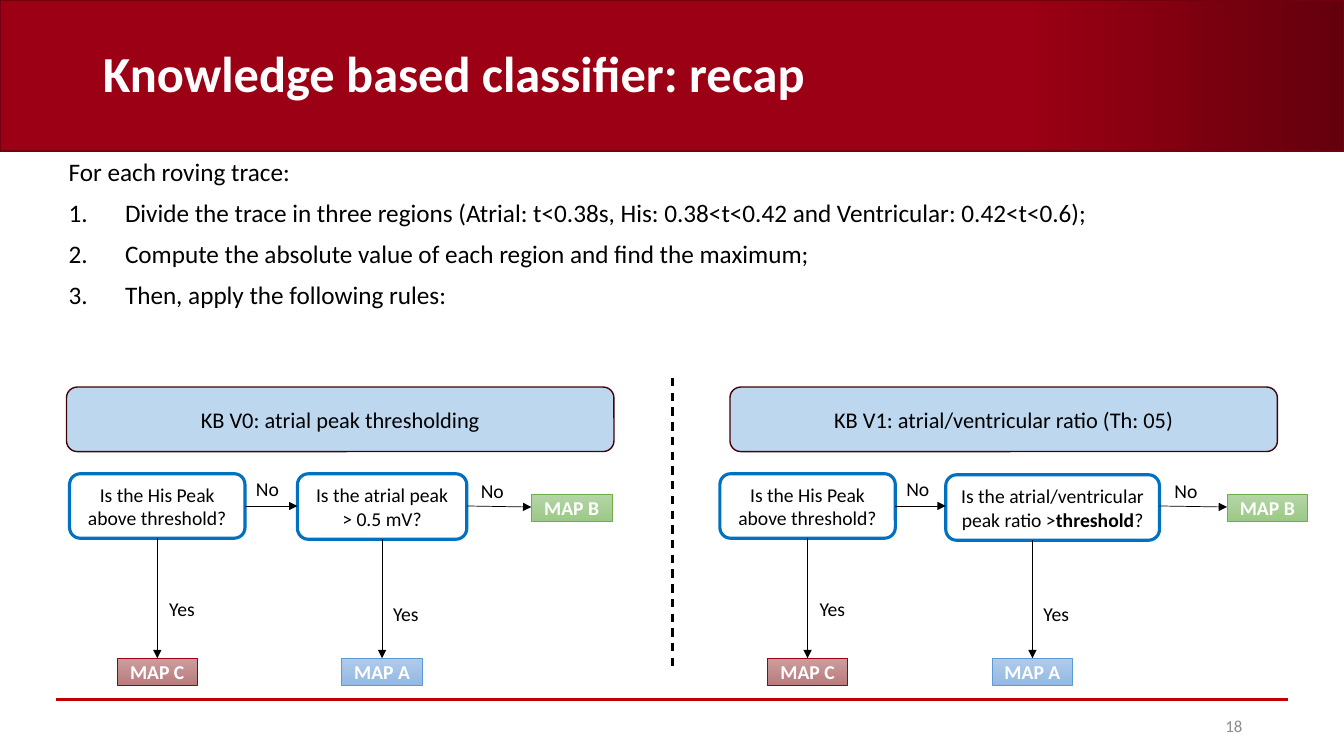
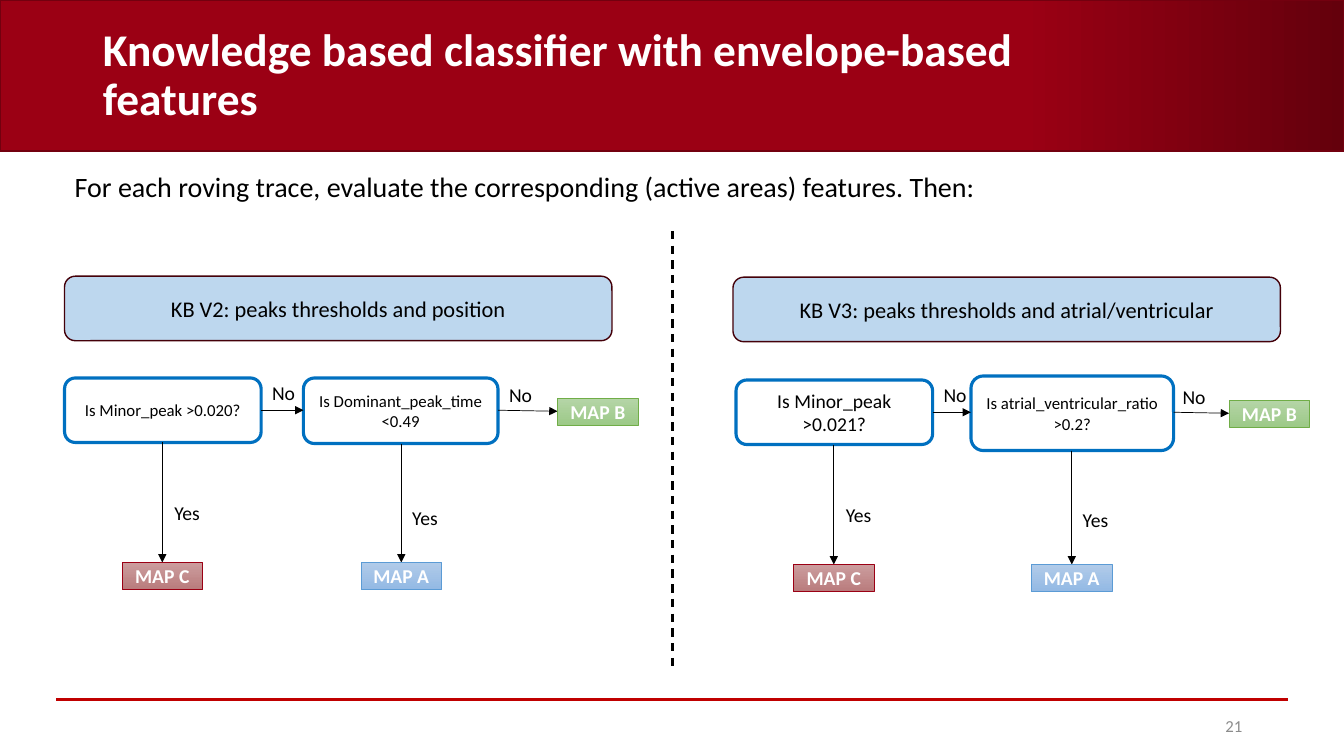
from lxml import etree
from pptx import Presentation
from pptx.dml.color import RGBColor
from pptx.enum.dml import MSO_LINE
from pptx.enum.shapes import MSO_CONNECTOR, MSO_SHAPE
from pptx.enum.text import MSO_ANCHOR, MSO_AUTO_SIZE, PP_ALIGN
from pptx.oxml.ns import qn
from pptx.util import Pt

PX = 9144
FONT = "Calibri"
RECTANGLE = MSO_SHAPE.RECTANGLE
ROUNDED = MSO_SHAPE.ROUNDED_RECTANGLE
STRAIGHT = MSO_CONNECTOR.STRAIGHT
DASH = MSO_LINE.DASH
LEFT, CENTER, RIGHT = PP_ALIGN.LEFT, PP_ALIGN.CENTER, PP_ALIGN.RIGHT
TOP, MIDDLE = MSO_ANCHOR.TOP, MSO_ANCHOR.MIDDLE
NO_FIT = MSO_AUTO_SIZE.NONE
hex_color = RGBColor.from_string

BLACK, WHITE, GREY = "000000", "FFFFFF", "8C8C8C"
BAND_STOPS, BAND_LINE, RULE_RED = ("9B0014", "64000C"), "73000F", "C00000"
HEADING_FILL, HEADING_LINE, QUESTION_LINE = "BDD7EE", "440009", "0070C0"
MAP_STYLES = {
    "MAP A": (("B1CBE9", "93B9E4"), "5B9BD5"),
    "MAP B": (("B5D5A7", "9CC987"), "70AD47"),
    "MAP C": (("CC9D9E", "B97C7D"), "9B0014"),
}
MAP_WIDTH, MAP_HEIGHT = 80, 27
QUESTION_HEIGHT = 64

SLIDES = [
    {
        "title": "Knowledge based classifier: recap", "title_size": 36, "number": "18",
        "body_at": (58, 153, 1150, 165), "body_size": 18,
        "intro": "For each roving trace:",
        "steps": [
            "Divide the trace in three regions (Atrial: t<0.38s, His: 0.38<t<0.42 and Ventricular: 0.42<t<0.6);",
            "Compute the absolute value of each region and find the maximum;",
            "Then, apply the following rules:",
        ],
        "divider_top": 375,
        "charts": [
            {"heading": "KB V0: atrial peak thresholding", "heading_at": (66, 384), "top": 470,
             "first": (69, 174, "Is the His Peak above threshold?", 14),
             "second": (295, 470, 168, 65, "Is the atrial peak > 0.5 mV?", 14),
             "second_arrow": 379, "map_b": 527},
            {"heading": "KB V1: atrial/ventricular ratio (Th: 05)", "heading_at": (724, 384), "top": 470,
             "first": (714, 174, "Is the His Peak above threshold?", 14),
             "second": (938, 471, 212, 65, "Is the atrial/ventricular peak ratio >|threshold|?", 14),
             "second_arrow": 1024, "map_b": 1217},
        ],
    },
    {
        "title": "Knowledge based classifier with envelope-based features", "title_size": 32.4, "number": "21",
        "body_at": (64, 167, 1150, 42), "body_size": 20,
        "intro": "For each roving trace, evaluate the corresponding (active areas) features. Then:",
        "steps": [],
        "divider_top": 229,
        "charts": [
            {"heading": "KB V2: peaks thresholds and position", "heading_at": (64, 274), "top": 375,
             "first": (64, 195, "Is Minor_peak >0.020?", 12),
             "second": (301, 375, 193, 65, "Is Dominant_peak_time <0.49", 12),
             "second_arrow": 398, "map_b": 553},
            {"heading": "KB V3: peaks thresholds and atrial/ventricular", "heading_at": (727, 275), "top": 377,
             "first": (730, 195, "Is Minor_peak >0.021?", 14),
             "second": (963, 373, 201, 74, "Is atrial_ventricular_ratio >0.2?", 12),
             "second_arrow": 1063, "map_b": 1219},
        ],
    },
]


def add_box(slide, at, text="", size=14, color=BLACK, bold=False, align=CENTER, anchor=MIDDLE,
            kind=None, fill=None, outline=None, width=1, angle=270):
    bounds = [length * PX for length in at]
    if kind is None:
        shape = slide.shapes.add_textbox(*bounds)
    else:
        shape = slide.shapes.add_shape(kind, *bounds)
        shape.shadow.inherit = False
        shape.line.color.rgb = hex_color(outline)
        shape.line.width = Pt(width)
    if fill is None:
        shape.fill.background()
    elif isinstance(fill, tuple):
        shape.fill.gradient()
        shape.fill.gradient_angle = angle
        for stop, stop_color in zip(shape.fill.gradient_stops, fill):
            stop.color.rgb = hex_color(stop_color)
    else:
        shape.fill.solid()
        shape.fill.fore_color.rgb = hex_color(fill)
    frame = shape.text_frame
    frame.word_wrap = True
    frame.vertical_anchor = anchor
    paragraph = frame.paragraphs[0]
    paragraph.alignment = align
    for index, piece in enumerate(text.split("|")):
        run = paragraph.add_run()
        run.text = piece
        run.font.name = FONT
        run.font.size = Pt(size)
        run.font.bold = bold or index % 2 == 1
        run.font.color.rgb = hex_color(color)
    return shape


def add_line(slide, start, end, color=BLACK, width=0.5, arrow=False):
    line = slide.shapes.add_connector(STRAIGHT, *[round(length * PX) for length in start + end])
    line.line.color.rgb = hex_color(color)
    line.line.width = Pt(width)
    if arrow:
        etree.SubElement(line.line._get_or_add_ln(), qn("a:tailEnd"), type="triangle")
    etree.SubElement(line.element.spPr, qn("a:effectLst"))
    return line


presentation = Presentation()
presentation.slide_width = 1333 * PX
presentation.slide_height = 750 * PX
layout = presentation.slide_layouts[1]
for placeholder in list(layout.placeholders):
    if placeholder.placeholder_format.idx >= 10:
        placeholder.element.getparent().remove(placeholder.element)
title_area = layout.placeholders[0]
title_area.left, title_area.top, title_area.width, title_area.height = [
    length * PX for length in (92, 23, 1083, 106)]

slides = [presentation.slides.add_slide(layout) for _ in SLIDES]

band = add_box(slides[0], (0, 0, 1333, 150), kind=RECTANGLE, fill=BAND_STOPS, outline=BAND_LINE, angle=0)
band.fill.gradient_stops[0].position = 0.76
footer_rule = add_line(slides[0], (56, 694), (1277, 694), RULE_RED, 1.5)
for position, shape in enumerate((band, footer_rule), 2):
    layout.shapes.element.insert(position, shape.element)

for slide, content in zip(slides, SLIDES):
    title = slide.shapes.title
    title.text_frame.text = content["title"]
    title.text_frame.vertical_anchor = MIDDLE
    title.text_frame.auto_size = NO_FIT
    paragraph = title.text_frame.paragraphs[0]
    paragraph.alignment = LEFT
    paragraph.line_spacing = 0.9
    font = paragraph.runs[0].font
    font.name, font.size, font.bold = FONT, Pt(content["title_size"]), True
    font.color.rgb = hex_color(WHITE)

    body = slide.placeholders[1]
    body.left, body.top, body.width, body.height = [length * PX for length in content["body_at"]]
    body.text_frame.text = "\n".join([content["intro"]] + content["steps"])
    body.text_frame.vertical_anchor = TOP
    body.text_frame.auto_size = NO_FIT
    for index, paragraph in enumerate(body.text_frame.paragraphs):
        paragraph.line_spacing = 0.9
        paragraph.space_before = Pt(10)
        indent = 56 * PX if index else 0
        properties = paragraph._p.get_or_add_pPr()
        properties.set("marL", str(indent))
        properties.set("indent", str(-indent))
        if index:
            etree.SubElement(properties, qn("a:buFont"), typeface=FONT)
            etree.SubElement(properties, qn("a:buAutoNum"), type="arabicPeriod")
        else:
            etree.SubElement(properties, qn("a:buNone"))
        font = paragraph.runs[0].font
        font.name, font.size = FONT, Pt(content["body_size"])
        font.color.rgb = hex_color(BLACK)

    add_box(slide, (942, 700, 300, 40), content["number"], 12, GREY, align=RIGHT)
    divider = add_line(slide, (667, content["divider_top"]), (667, 665), width=1.5)
    divider.line.dash_style = DASH

    for chart in content["charts"]:
        top = chart["top"]
        first_left, first_width, first_text, first_size = chart["first"]
        second_left, second_top, second_width, second_height, second_text, second_size = chart["second"]
        first_right = first_left + first_width
        second_right = second_left + second_width
        first_arrow, second_arrow = first_left + first_width // 2, chart["second_arrow"]
        map_b = chart["map_b"]
        middle, map_top = top + 32, top + 183

        add_box(slide, (*chart["heading_at"], 543, 64), chart["heading"], 16,
                kind=ROUNDED, fill=HEADING_FILL, outline=HEADING_LINE)
        for at, text, size in (
            ((first_left, top, first_width, QUESTION_HEIGHT), first_text, first_size),
            ((second_left, second_top, second_width, second_height), second_text, second_size),
        ):
            add_box(slide, at, text, size, kind=ROUNDED, outline=QUESTION_LINE, width=2.25)

        for start, end in (
            ((first_right, middle), (second_left, middle)),
            ((second_right, middle), (map_b, middle + 1)),
            ((first_arrow, top + QUESTION_HEIGHT), (first_arrow, map_top)),
            ((second_arrow, second_top + second_height), (second_arrow, map_top)),
        ):
            add_line(slide, start, end, arrow=True)

        for name, left, map_y in (
            ("MAP C", first_arrow - MAP_WIDTH // 2, map_top),
            ("MAP A", second_arrow - MAP_WIDTH // 2, map_top),
            ("MAP B", map_b, top + 20),
        ):
            stops, outline = MAP_STYLES[name]
            add_box(slide, (left, map_y, MAP_WIDTH, MAP_HEIGHT), name, 14, WHITE, True,
                    kind=RECTANGLE, fill=stops, outline=outline, width=0.5)

        for text, left, label_top in (
            ("No", first_right + 1, top - 2),
            ("No", (second_right + map_b) // 2 - 28, top),
            ("Yes", first_arrow + 2, top + 117),
            ("Yes", second_arrow + 1, top + 122),
        ):
            add_box(slide, (left, label_top, 55, 34), text, align=LEFT, anchor=TOP)

presentation.save("out.pptx")
